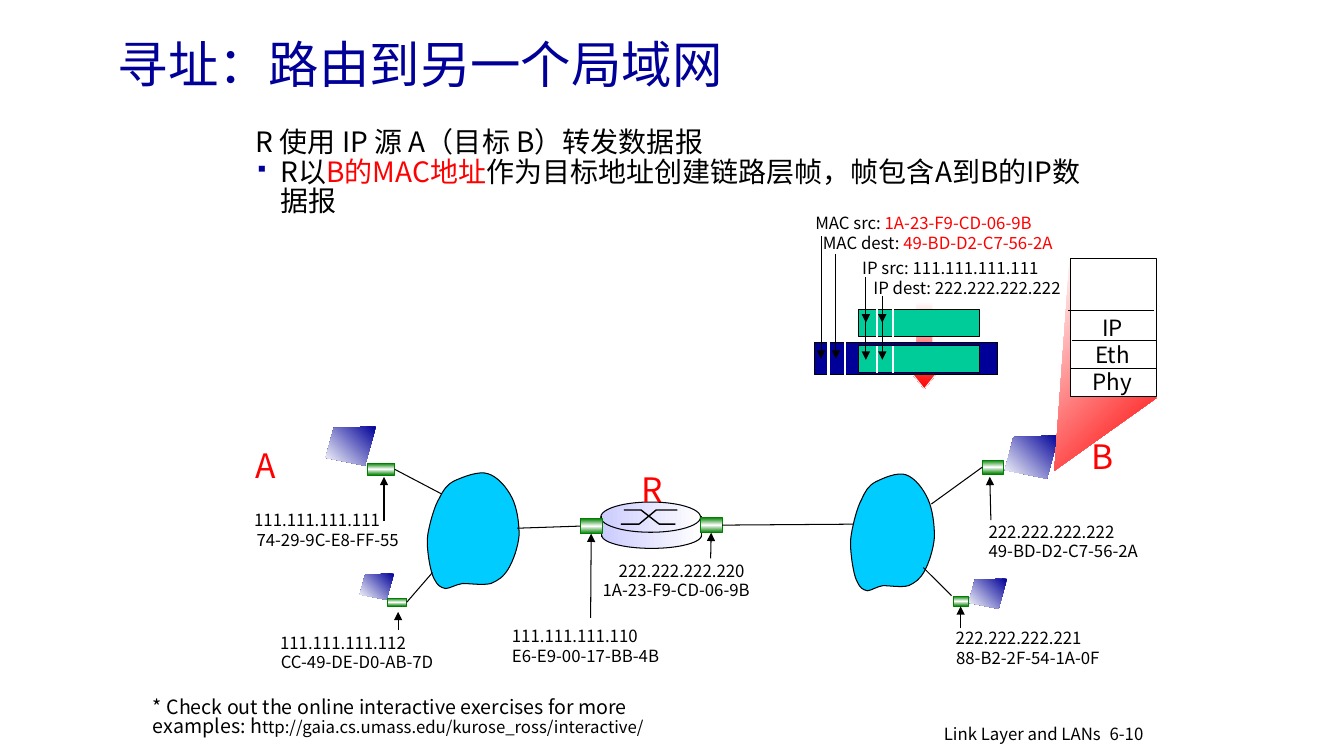
from lxml import etree
from pptx import Presentation
from pptx.dml.color import RGBColor
from pptx.enum.shapes import MSO_CONNECTOR, MSO_SHAPE as SHAPE
from pptx.enum.text import MSO_ANCHOR as ANCHOR, PP_ALIGN as ALIGN
from pptx.oxml.ns import qn
from pptx.util import Pt

FONT = "Noto Sans CJK SC"
COLORS = {
    "black": "000000", "white": "FFFFFF", "red": "FF0000", "navy": "000099",
    "green": "008000", "teal": "00CC99", "cyan": "00CCFF", "lilac": "CCCCFF",
}
LEFT, BOTTOM, RIGHT = 1, 2, 3  # connection sites

# Cloud outline on a 92 x 117 grid: start, then (control, control, end)
CLOUD_START = (28, 10)
CLOUD_CURVES = [
    ((20, 14), (17, 19), (13, 27)), ((8, 35), (4, 50), (2, 60)),
    ((0, 69), (1, 77), (2, 85)), ((3, 92), (5, 103), (8, 108)),
    ((11, 114), (14, 116), (19, 117)), ((23, 117), (29, 113), (36, 112)),
    ((44, 112), (56, 114), (64, 112)), ((71, 109), (76, 106), (81, 98)),
    ((86, 90), (91, 76), (92, 64)), ((92, 52), (90, 37), (85, 27)),
    ((80, 17), (71, 6), (61, 3)), ((52, 0), (37, 6), (28, 10)),
]


def rgb(name):
    return RGBColor.from_string(COLORS[name])


def add_text(slide, paragraphs, x, y, w, h, size=12, color="black", align=None,
             anchor=ANCHOR.TOP, spacing=None, indents=(), bullet=None):
    """Each paragraph is a string or a list of (text, color, size) runs."""
    tf = slide.shapes.add_textbox(Pt(x), Pt(y), Pt(w), Pt(h)).text_frame
    tf.word_wrap = True
    tf.vertical_anchor = anchor
    for i, content in enumerate(paragraphs):
        p = tf.paragraphs[0] if i == 0 else tf.add_paragraph()
        pPr = p._p.get_or_add_pPr()
        if indents:
            pPr.set("marL", str(Pt(indents[i])))
        if bullet:
            pPr.set("indent", str(-Pt(indents[i])))
            clr = etree.SubElement(pPr, qn("a:buClr"))
            etree.SubElement(clr, qn("a:srgbClr"), val=COLORS["navy"])
            etree.SubElement(pPr, qn("a:buSzPct"), val="65000")
            etree.SubElement(pPr, qn("a:buChar"), char=bullet)
        p.alignment = align
        p.line_spacing = spacing
        runs = [(content, color, size)] if isinstance(content, str) else content
        for words, run_color, run_size in runs:
            r = p.add_run()
            r.text = words
            r.font.size = Pt(run_size)
            r.font.color.rgb = rgb(run_color)
            r.font.name = FONT
            etree.SubElement(r._r.get_or_add_rPr(), qn("a:ea"), typeface=FONT)


def paint(sp, fill=None, line=None, width=0.75, angle=0):
    """fill is a colour name, or a list of evenly spaced gradient colours."""
    sp.shadow.inherit = False
    sp.fill.background()
    if isinstance(fill, str):
        sp.fill.solid()
        sp.fill.fore_color.rgb = rgb(fill)
    elif fill:
        spPr = sp._element.spPr
        grad = etree.Element(qn("a:gradFill"), rotWithShape="1")
        stops = etree.SubElement(grad, qn("a:gsLst"))
        for i, name in enumerate(fill):
            gs = etree.SubElement(stops, qn("a:gs"), pos=str(100000 * i // (len(fill) - 1)))
            etree.SubElement(gs, qn("a:srgbClr"), val=COLORS[name])
        etree.SubElement(grad, qn("a:lin"), ang=str(angle * 60000), scaled="0")
        spPr.replace(spPr.find(qn("a:noFill")), grad)
    if line:
        sp.line.color.rgb = rgb(line)
        sp.line.width = Pt(width)
    else:
        sp.line.fill.background()
    return sp


def add_box(slide, x, y, w, h, kind=SHAPE.RECTANGLE, **style):
    return paint(slide.shapes.add_shape(kind, Pt(x), Pt(y), Pt(w), Pt(h)), **style)


def add_outline(slide, points, close=True, **style):
    pts = [(Pt(x), Pt(y)) for x, y in points]
    builder = slide.shapes.build_freeform(*pts[0])
    builder.add_line_segments(pts[1:], close=close)
    return paint(builder.convert_to_shape(), **style)


def add_line(slide, x1, y1, x2, y2, color="black", width=0.75, arrow=False):
    line = slide.shapes.add_connector(MSO_CONNECTOR.STRAIGHT, Pt(x1), Pt(y1), Pt(x2), Pt(y2))
    line.line.color.rgb = rgb(color)
    line.line.width = Pt(width)
    if arrow:
        etree.SubElement(line.line._get_or_add_ln(), qn("a:tailEnd"), type="triangle")
    etree.SubElement(line._element.spPr, qn("a:effectLst"))
    return line


def add_wire(slide, x, y, adapter, side, arrow=False):
    add_line(slide, x, y, x, y, arrow=arrow).end_connect(adapter, side)


def add_adapter(slide, cx, cy, w, h):
    return add_box(slide, cx - w / 2, cy - h / 2, w, h,
                   fill=["green", "white", "green"], line="green", angle=90)


def add_laptop(slide, x, y, w, h):
    corners = [(1, 0), (0.16, 0.04), (0, 0.8), (0.78, 1)]
    add_outline(slide, [(x + w * u, y + h * v) for u, v in corners],
                fill=["navy", "white"], angle=135)


def add_cloud(slide, x, y, w, h):
    def place(point):
        return x + point[0] * w / 92, y + point[1] * h / 117

    ends = [place(curve[-1]) for curve in CLOUD_CURVES]
    sp = add_outline(slide, [place(CLOUD_START)] + ends, fill="cyan", line="black")
    # Bend each straight segment into its curve
    segments = list(sp._element.iter(qn("a:lnTo")))
    for segment, curve in zip(segments, CLOUD_CURVES):
        bend = etree.Element(qn("a:cubicBezTo"))
        for px, py in map(place, curve):
            etree.SubElement(bend, qn("a:pt"), x=str(Pt(px) - sp.left), y=str(Pt(py) - sp.top))
        segment.getparent().replace(segment, bend)


def add_router(slide, x, y, w):
    body = dict(fill=["lilac", "white"])
    add_box(slide, x, y + 14.4, w, 18.7, SHAPE.OVAL, line="black", **body)
    add_box(slide, x, y + 12.2, w, 11.5, **body)
    add_box(slide, x - 0.7, y, w, 21.6, SHAPE.OVAL, line="black", **body)
    low, high = y + 15.8, y + 5.7
    for xs, y1, y2 in [((443.5, 456.5, 468.7, 483.8), low, high),
                       ((445.7, 457.9, 470.9, 482.4), high, low)]:
        add_outline(slide, zip(xs, (y1, y1, y2, y2)), close=False, line="black", width=1)
    for side in (x, x + w):
        add_line(slide, side, y + 10, side, y + 25.2)


def add_network(slide):
    add_cloud(slide, 304.6, 336.2, 66.2, 84.2)
    add_cloud(slide, 607, 337, 60.5, 85)
    for place in [(232.6, 304.6, 36, 28), (257, 409.7, 24.5, 18.7),
                  (717.8, 311, 38.5, 31), (691.9, 413.3, 27.4, 21.6)]:
        add_laptop(slide, *place)
    add_router(slide, 429.8, 358.6, 71.3)

    # Adapters with their wires and pointers
    host_a = add_adapter(slide, 272.2, 335.2, 19.4, 8.6)
    low_a = add_adapter(slide, 283.7, 430.2, 13.7, 5.8)
    host_b = add_adapter(slide, 709.2, 333.7, 15.1, 10.1)
    low_b = add_adapter(slide, 686.2, 429.5, 10.8, 7.2)
    router_in = add_adapter(slide, 422.3, 375.8, 15.8, 10.8)
    router_out = add_adapter(slide, 508, 375.1, 15.8, 10.8)
    for x, y, adapter, side in [
            (315.4, 352.8, host_a, RIGHT), (308.9, 409, low_a, RIGHT),
            (369.4, 377.3, router_in, LEFT), (609.8, 374.4, router_out, RIGHT),
            (665.3, 360, host_b, LEFT)]:
        add_wire(slide, x, y, adapter, side)
    add_line(slide, 659.5, 405.4, 679.7, 425.5)
    for x, y, adapter in [(421.9, 441.4, router_in), (507.6, 398.9, router_out),
                          (686.2, 448.6, low_b)]:
        add_wire(slide, x, y, adapter, BOTTOM, arrow=True)
    for x1, y1, x2, y2 in [(284.4, 450, 284.4, 437), (274.3, 372.2, 274.3, 340.6),
                           (707.8, 371.5, 707, 340.6)]:
        add_line(slide, x1, y1, x2, y2, arrow=True)

    # Node names and addresses
    for name, x, y in [("A", 175.4, 314.6), ("R", 451.4, 331.5), ("B", 772.6, 307.8)]:
        add_text(slide, [name], x, y, 32, 36, size=24, color="red")
    for y, ip, ip_x, mac, mac_x in [
            (360.7, "111.111.111.111", 174.5, "74-29-9C-E8-FF-55", 176.2),
            (448.2, "111.111.111.112", 193, "CC-49-DE-D0-AB-7D", 193.5),
            (443.5, "111.111.111.110", 358.6, "E6-E9-00-17-BB-4B", 358.6),
            (396.7, "222.222.222.220", 434.9, "1A-23-F9-CD-06-9B", 423.4),
            (368.8, "222.222.222.222", 699.1, "49-BD-D2-C7-56-2A", 699.1),
            (444.8, "222.222.222.221", 675.6, "88-B2-2F-54-1A-0F", 675.9)]:
        add_text(slide, [ip], ip_x, y, 108, 21.6)
        add_text(slide, [mac], mac_x, y + 14, 130, 21.6)


def add_packet(slide):
    arrow = add_box(slide, 648, 215.3, 24.5, 62.6, SHAPE.DOWN_ARROW,
                    fill=["white", "red"], line="white", angle=90)
    arrow.adjustments[1] = 0.63
    add_box(slide, 581.8, 244.8, 131, 23, fill="navy", line="black")
    for x in (591.8, 603.4):
        add_line(slide, x, 244.4, x, 267.8, color="white", width=1.5)
    for top in (221, 247):
        add_box(slide, 613, top, 86.4, 19.4, fill="teal", line="black")
        for x in (626.4, 637.9):
            add_line(slide, x, top, x, top + 19.4, color="white", width=1.5)
    add_text(slide, ["IP src: 111.111.111.111", "IP dest: 222.222.222.222"],
             608.8, 180.7, 164, 36.7, indents=(0, 8))
    add_text(slide, [[("MAC src: ", "black", 12), ("1A-23-F9-CD-06-9B", "red", 12)],
                     [("MAC dest: ", "black", 12), ("49-BD-D2-C7-56-2A", "red", 12)]],
             575.3, 148.3, 203, 51, indents=(0, 5.4))
    for x, top, bottom in [(586.5, 168.5, 256.3), (597.1, 181.4, 256.3),
                           (618.5, 200.2, 230.4), (618.5, 198, 257),
                           (630.2, 214.6, 230.4), (630.2, 211.7, 257)]:
        add_line(slide, x, top, x, bottom, arrow=True)


def add_stack(slide):
    add_outline(slide, [(825.8, 284.4), (753.1, 336.2), (763.9, 186.5)],
                fill=["white", "red"], angle=45)
    add_box(slide, 764.6, 184.7, 61.6, 98.4, fill="white", line="black")
    add_text(slide, ["IP", "Eth", "Phy"], 772.7, 220.7, 44, 64.3, size=16, align=ALIGN.CENTER)
    for x, y in [(763.2, 221.8), (765.4, 243.4), (764.6, 263), (764.6, 283.1)]:
        add_line(slide, x, y, x + 61.2, y)


def main():
    prs = Presentation()
    prs.slide_width, prs.slide_height = Pt(960), Pt(540)
    slide = prs.slides.add_slide(prs.slide_layouts[6])

    # Diagram
    add_network(slide)
    # Title and body
    add_text(slide, ["寻址：路由到另一个局域网"], 77, 0, 630, 90, size=36,
             color="navy", anchor=ANCHOR.MIDDLE)
    add_text(slide, ["R 使用 IP 源 A（目标 B）转发数据报"], 175.7, 89.3, 612, 36,
             size=20, spacing=0.85)
    add_text(slide, [[("R以", "black", 20), ("B的MAC地址", "red", 20),
                      ("作为目标地址创建链路层帧，帧包含A到B的IP数据报", "black", 20)]],
             175.2, 110.5, 612, 57, spacing=0.85, indents=(18,), bullet="▪")
    # Frame and protocol stack
    add_packet(slide)
    add_stack(slide)
    # Footer
    add_text(slide, ["6-10"], 785.5, 513.4, 43.2, 21.6)
    add_text(slide, ["Link Layer and LANs"], 622.1, 513.4, 171.4, 18.7, align=ALIGN.RIGHT)
    add_text(slide, [[("* Check out the online interactive exercises for more examples: h",
                       "black", 14),
                      ("ttp://gaia.cs.umass.edu/kurose_ross/interactive/", "black", 12)]],
             102.2, 496.1, 396, 34.6, spacing=0.8)
    prs.save("out.pptx")


if __name__ == "__main__":
    main()
